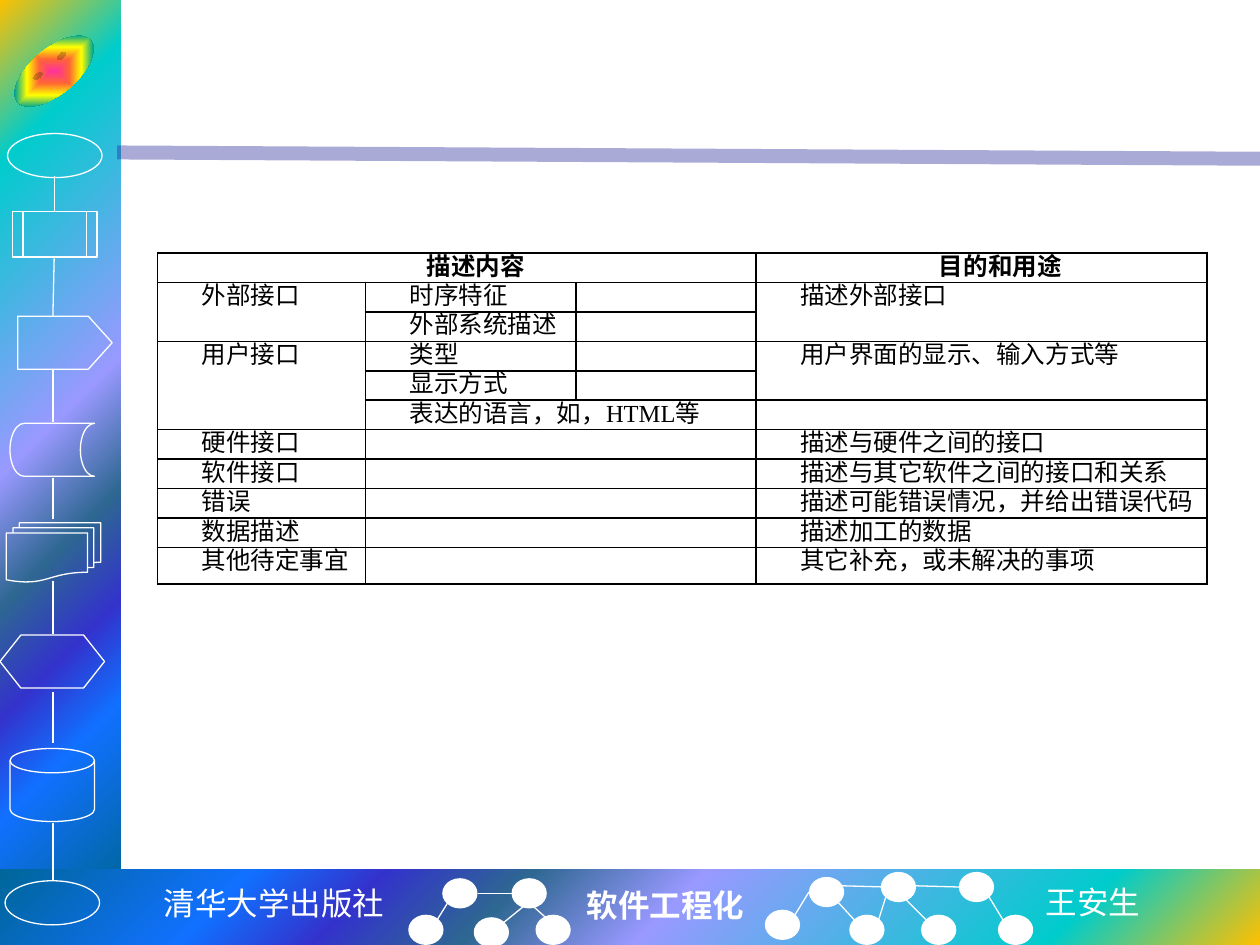
from itertools import product

from lxml.etree import SubElement
from pptx import Presentation
from pptx.dml.color import RGBColor as RGB
from pptx.enum.shapes import MSO_CONNECTOR as Link, MSO_SHAPE as Kind
from pptx.enum.text import PP_ALIGN as Align
from pptx.oxml import parse_xml
from pptx.oxml.ns import nsdecls, qn
from pptx.util import Inches, Pt

THEME = {
    "white": "FFFFFF", "ink": "000000", "rule": "262699",
    "latin": "Times New Roman", "mono": "Noto Sans Mono", "cjk": "Noto Sans CJK SC",
    "footer": 18, "table": 14, "leading": 16.6, "thin": 0.75, "border": 1,
    "ocean": [(0, "FFC000"), (16, "00CCCC"), (47, "9999FF"), (60, "2E6792"),
              (71, "3333CC"), (81, "1170FF"), (100, "006699")],
    "rainbow": [(0, "FF3399"), (25, "FF6633"), (50, "FFFF00"),
                (75, "01A78F"), (100, "3366FF")],
}

deck = Presentation()
deck.slide_width, deck.slide_height = Inches(10), Inches(7.5)
slide = deck.slides.add_slide(deck.slide_layouts[6])
# The slide is a grid of 100 columns by 75 rows of square cells
CELL = deck.slide_width // 100


def add_symbol(kind, box, outlined=True):
    symbol = slide.shapes.add_shape(kind, *[int(v * CELL) for v in box])
    symbol.shadow.inherit = False
    symbol.fill.background()
    if outlined:
        symbol.line.color.rgb = RGB.from_string(THEME["white"])
        symbol.line.width = Pt(THEME["thin"])
    else:
        symbol.line.fill.background()
    return symbol


def add_link(*ends, color=THEME["white"], width=THEME["thin"]):
    link = slide.shapes.add_connector(Link.STRAIGHT, *[int(v * CELL) for v in ends])
    link.line.color.rgb = RGB.from_string(color)
    link.line.width = Pt(width)
    SubElement(link._element.spPr, qn("a:effectLst"))
    return link


# Gradient side bar, footer bar and tilted face
for kind, box, tilt, stops, path, focus in [
    (Kind.RECTANGLE, (0, 0, 9.6, 70.9), 0, "ocean", "circle", (0, 0, 100, 100)),
    (Kind.RECTANGLE, (0, 69, 100, 6), 0, "ocean", "circle", (100, 100, 0, 0)),
    (Kind.SMILEY_FACE, (0.5, 3.85, 7.6, 3.6), 320, "rainbow", "shape", (50, 50, 50, 50)),
]:
    panel = add_symbol(kind, box, outlined=False)
    panel.rotation = tilt
    gradient_stops = "".join(
        f'<a:gs pos="{pos * 1000}"><a:srgbClr val="{color}"/></a:gs>'
        for pos, color in THEME[stops])
    edges = " ".join(f'{side}="{share * 1000}"' for side, share in zip("ltrb", focus))
    gradient = parse_xml(
        f'<a:gradFill {nsdecls("a")} rotWithShape="1"><a:gsLst>{gradient_stops}</a:gsLst>'
        f'<a:path path="{path}"><a:fillToRect {edges}/></a:path></a:gradFill>')
    properties = panel._element.spPr
    properties.replace(properties.find(qn("a:noFill")), gradient)

# Translucent rule below the title area
rule = add_link(9.3, 12.1, 100, 12.6, color=THEME["rule"], width=8)
rule_color = next(rule._element.spPr.iter(qn("a:srgbClr")))
SubElement(rule_color, qn("a:alpha"), val="39000")

# Flowchart symbols down the side bar
for kind, box in [
    (Kind.OVAL, (0.6, 10.6, 7.5, 3.5)),
    (Kind.FLOWCHART_PREDEFINED_PROCESS, (1, 16.8, 6.7, 3.6)),
    (Kind.PENTAGON, (1.4, 25.1, 7.5, 4.2)),
    (Kind.FLOWCHART_STORED_DATA, (0.8, 33.6, 6.7, 4.2)),
    (Kind.FLOWCHART_MULTIDOCUMENT, (0.5, 41.5, 7.5, 4.7)),
    (Kind.FLOWCHART_PREPARATION, (0, 50.4, 8.3, 4.2)),
    (Kind.FLOWCHART_MAGNETIC_DISK, (0.8, 59.4, 6.7, 5.8)),
    (Kind.OVAL, (0.4, 69.9, 7.5, 3.5)),
]:
    symbol = add_symbol(kind, box)
    if kind == Kind.PENTAGON:
        symbol.adjustments[0] = 0.45

add_link(4.3, 14, 4.3, 16.8)
add_link(4.3, 20.5, 4.2, 25.1)
for top, bottom in [(29.3, 33.5), (37.9, 41.2), (46.1, 50.3), (54.9, 59), (65.3, 69.9)]:
    add_link(4.2, top, 4.2, bottom)

# Two small trees in the footer
for left, top in [
    (35.1, 69.7), (40.6, 69.7), (32.4, 72.6), (37.6, 72.8), (42.5, 72.6),
    (64.2, 69.6), (69.9, 69.2), (76.1, 69.2),
    (60.7, 72.2), (67.4, 72.6), (73.1, 72.6), (79.2, 72.6),
]:
    node = add_symbol(Kind.OVAL, (left, top, 2.8, 2.4), outlined=False)
    node.fill.solid()
    node.fill.fore_color.rgb = RGB.from_string(THEME["white"])

for ends in [
    (34.7, 73, 35.5, 71.7), (40, 73.2, 41.6, 71.9), (40.6, 70.9, 37.9, 70.9),
    (43.4, 72.9, 42.4, 72), (67.8, 73, 66.5, 71.6), (73.5, 73, 71.5, 71),
    (79.6, 73, 78.5, 71.2), (69.7, 73.1, 70.3, 71.2), (72.6, 70.3, 76.1, 70.4),
    (63.1, 72.6, 64.2, 70.8), (66.8, 70.3, 70.3, 70.4),
]:
    add_link(*ends)

# Footer captions
for caption, box, align, font, bold in [
    ("清华大学出版社", (11.9, 69.7, 19.7, 4), Align.CENTER, "mono", False),
    ("软件工程化", (45.6, 69.8, 14.6, 4), Align.LEFT, "latin", True),
    ("王安生", (82, 69.6, 9.6, 4), Align.LEFT, "cjk", False),
]:
    frame = slide.shapes.add_textbox(*[int(v * CELL) for v in box]).text_frame
    frame.word_wrap = False
    line = frame.paragraphs[0]
    line.alignment = align
    run = line.add_run()
    run.text = caption
    run.font.name = THEME[font]
    run.font.size = Pt(THEME["footer"])
    run.font.bold = bold
    run.font.color.rgb = RGB.from_string(THEME["white"])

# Interface description table
ROWS = [
    ("描述内容", "", "", "目的和用途"),
    ("外部接口", "时序特征", "", "描述外部接口"),
    ("", "外部系统描述", "", ""),
    ("用户接口", "类型", "", "用户界面的显示、输入方式等"),
    ("", "显示方式", "", ""),
    ("", "表达的语言，如，HTML等", "", ""),
    ("硬件接口", "", "", "描述与硬件之间的接口"),
    ("软件接口", "", "", "描述与其它软件之间的接口和关系"),
    ("错误", "", "", "描述可能错误情况，并给出错误代码"),
    ("数据描述", "", "", "描述加工的数据"),
    ("其他待定事宜", "", "", "其它补充，或未解决的事项"),
]
COLUMNS = [16.5, 16.7, 14.3, 35.8]
HEIGHTS = [2.31] * (len(ROWS) - 1) + [2.9]
table = slide.shapes.add_table(
    len(ROWS), len(COLUMNS),
    *[int(v * CELL) for v in (12.5, 20.1, sum(COLUMNS), sum(HEIGHTS))]).table
table.first_row = table.horz_banding = False
for column, width in zip(table.columns, COLUMNS):
    column.width = int(width * CELL)
for row, height in zip(table.rows, HEIGHTS):
    row.height = int(height * CELL)

for r, c in product(range(len(ROWS)), range(len(COLUMNS))):
    cell = table.cell(r, c)
    cell.margin_left = cell.margin_right = int(0.5 * CELL)
    cell.margin_top = cell.margin_bottom = 0
    cell.fill.background()
    for place, side in enumerate(("lnL", "lnR", "lnT", "lnB")):
        cell._tc.tcPr.insert(place, parse_xml(
            f'<a:{side} {nsdecls("a")} w="{Pt(THEME["border"])}"><a:solidFill>'
            f'<a:srgbClr val="{THEME["ink"]}"/></a:solidFill></a:{side}>'))
    line = cell.text_frame.paragraphs[0]
    line.alignment = Align.JUSTIFY if r else Align.CENTER
    line.line_spacing = Pt(THEME["leading"])
    indent = line._p.get_or_add_pPr()
    indent.set("marL", "0")
    indent.set("indent", str(3 * CELL))
    if ROWS[r][c]:
        run = line.add_run()
        run.text = ROWS[r][c]
        run.font.name = THEME["latin"]
        run.font.size = Pt(THEME["table"])
        run.font.bold = r == 0
        run.font.color.rgb = RGB.from_string(THEME["ink"])
    else:
        SubElement(line._p, qn("a:endParaRPr"), sz=str(THEME["table"] * 100))

# Merged cells: first row, first column, last row, last column
spans = [(0, 0, 0, 2), (1, 0, 2, 0), (1, 3, 2, 3), (3, 0, 5, 0), (3, 3, 4, 3)]
spans += [(r, 1, r, 2) for r in range(5, len(ROWS))]
for top, left, bottom, right in spans:
    table.cell(top, left).merge(table.cell(bottom, right))

deck.save("out.pptx")
